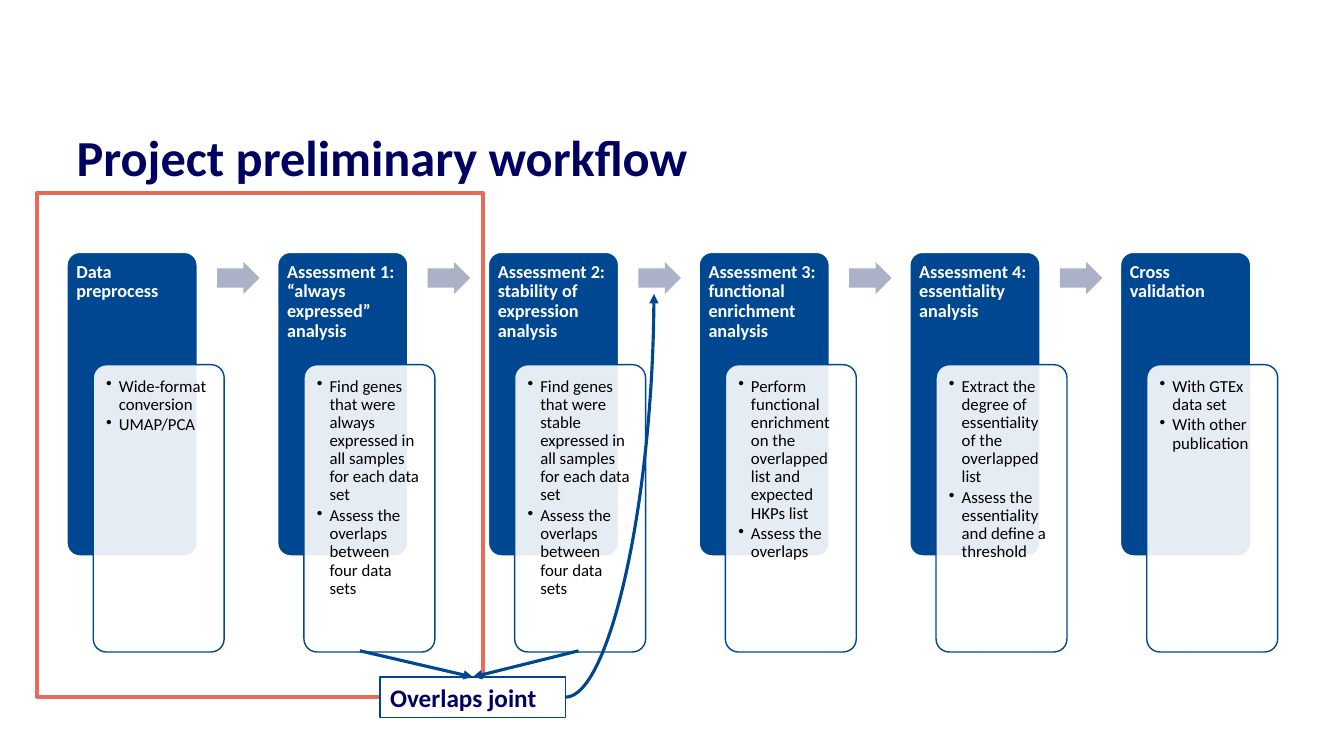
from lxml.etree import SubElement
from pptx import Presentation
from pptx.dml.color import RGBColor
from pptx.enum.shapes import MSO_CONNECTOR, MSO_SHAPE
from pptx.enum.text import MSO_ANCHOR, PP_ALIGN
from pptx.oxml.ns import qn
from pptx.util import Cm, Pt

COLORS = {"navy": "000061", "blue": "004791", "arrow": "ABB1C7",
          "frame": "E86A58", "white": "FFFFFF", "black": "000000"}
FONT = "Calibri"
OVERLAPS = "Assess the overlaps between four data sets"
STAGES = [
    ("Data preprocess", ["Wide-format conversion", "UMAP/PCA"]),
    ("Assessment 1: “always expressed” analysis",
     ["Find genes that were always expressed in all samples for each data set", OVERLAPS]),
    ("Assessment 2: stability of expression analysis",
     ["Find genes that were stable expressed in all samples for each data set", OVERLAPS]),
    ("Assessment 3: functional enrichment analysis",
     ["Perform functional enrichment on the overlapped list and expected HKPs list",
      "Assess the overlaps"]),
    ("Assessment 4: essentiality analysis",
     ["Extract the degree of essentiality of the overlapped list",
      "Assess the essentiality and define a threshold"]),
    ("Cross validation", ["With GTEx data set", "With other publication"]),
]
STAGE_PITCH = 5.31


def rgb(name):
    return RGBColor.from_string(COLORS[name])


def add_box(slide, kind, box, fill=None, line=None, width=1):
    sp = slide.shapes.add_shape(kind, *map(Cm, box))
    sp.shadow.inherit = False
    if fill:
        sp.fill.solid()
        sp.fill.fore_color.rgb = rgb(fill)
    else:
        sp.fill.background()
    if line:
        sp.line.color.rgb = rgb(line)
        sp.line.width = Pt(width)
    else:
        sp.line.fill.background()
    return sp


def write(sp, texts, size, color, bold=False, insets=(0.25, 0.13, 0.25, 0.13),
          spacing=1.0, after=0):
    """Fill a shape with top-left aligned paragraphs; insets are left, top, right, bottom."""
    tf = sp.text_frame
    tf.word_wrap = True
    tf.vertical_anchor = MSO_ANCHOR.TOP
    tf.margin_left, tf.margin_top, tf.margin_right, tf.margin_bottom = map(Cm, insets)
    for i, text in enumerate(texts):
        p = tf.paragraphs[0] if i == 0 else tf.add_paragraph()
        p.text = text
        p.alignment = PP_ALIGN.LEFT
        p.line_spacing = spacing
        p.space_after = Pt(after)
        p.font.name = FONT
        p.font.size = Pt(size)
        p.font.bold = bold
        p.font.color.rgb = rgb(color)
    return tf


def add_bullets(tf, indent):
    for p in tf.paragraphs:
        pPr = p._p.get_or_add_pPr()
        pPr.set("marL", str(Cm(indent)))
        pPr.set("indent", str(-Cm(indent)))
        bullet = pPr.makeelement(qn("a:buChar"), {"char": "•"})
        pPr.insert_element_before(bullet, "a:tabLst", "a:defRPr", "a:extLst")


def add_title(slide, box):
    sp = slide.shapes.add_textbox(*map(Cm, box))
    write(sp, ["Project preliminary workflow"], 36, "navy", True,
          (0.25, 0.3, 0.25, 0.13), 0.9)


def add_stage(slide, box, heading, bullets):
    """Blue heading column with a translucent detail panel overlapping it."""
    left, top, width, height = box
    column = add_box(slide, MSO_SHAPE.ROUNDED_RECTANGLE, box, "blue", "white", 1.5)
    column.adjustments[0] = 0.1
    write(column, [heading], 13, "white", True, (0.15, 0.17, 0.15, 0.13), 0.9)

    panel = add_box(slide, MSO_SHAPE.ROUNDED_RECTANGLE,
                    (left + 0.67, top + 2.84, width, height - 0.43), "white", "blue")
    panel.adjustments[0] = 0.1
    color = panel.fill._xPr.find(qn("a:solidFill"))[0]
    SubElement(color, qn("a:alpha"), val="90000")
    tf = write(panel, bullets, 12, "black", insets=(0.23, 0.23, 0.27, 0.23),
               spacing=0.9, after=1.8)
    add_bullets(tf, 0.32)


def add_workflow(slide, box):
    left, top, width, height = box
    for i, (heading, bullets) in enumerate(STAGES):
        x = left + i * STAGE_PITCH
        if i:
            arrow = add_box(slide, MSO_SHAPE.RIGHT_ARROW,
                            (x - 1.52, top + 0.25, 1.07, 0.81), "arrow")
            arrow.adjustments[0] = 0.6
        add_stage(slide, (x, top, width, height), heading, bullets)


def add_arrow(slide, kind, start, end):
    cxn = slide.shapes.add_connector(kind, *map(Cm, start + end))
    cxn.line.color.rgb = rgb("blue")
    cxn.line.width = Pt(2.25)
    SubElement(cxn.line._get_or_add_ln(), qn("a:tailEnd"), type="triangle")
    SubElement(cxn._element.spPr, qn("a:effectLst"))
    return cxn


def add_joint(slide, box):
    """Box collecting the overlaps of two assessments and feeding the next step."""
    left, top, width, height = box
    joint = add_box(slide, MSO_SHAPE.RECTANGLE, box, "white", "blue")
    write(joint, ["Overlaps joint"], 18, "navy", True)
    for x in (left - 0.51, left + 5):
        cxn = add_arrow(slide, MSO_CONNECTOR.STRAIGHT, (x, top - 0.66),
                        (left + width / 2, top))
        cxn.end_connect(joint, 0)
    curve = add_arrow(slide, MSO_CONNECTOR.CURVE, (left + width, top + height / 2),
                      (left + 6.9, top - 9.65))
    curve._element.spPr.find(qn("a:prstGeom")).set("prst", "curvedConnector2")


def main():
    prs = Presentation()
    prs.slide_width, prs.slide_height = Cm(33.87), Cm(19.05)
    slide = prs.slides.add_slide(prs.slide_layouts[6])
    add_title(slide, (1.68, 3.05, 30.53, 1.57))
    add_workflow(slide, (1.68, 6.35, 3.3, 7.67))
    add_box(slide, MSO_SHAPE.RECTANGLE, (0.94, 4.86, 11.23, 12.7), line="frame", width=3)
    add_joint(slide, (9.58, 17.06, 4.67, 1.02))
    prs.save("out.pptx")


if __name__ == "__main__":
    main()
